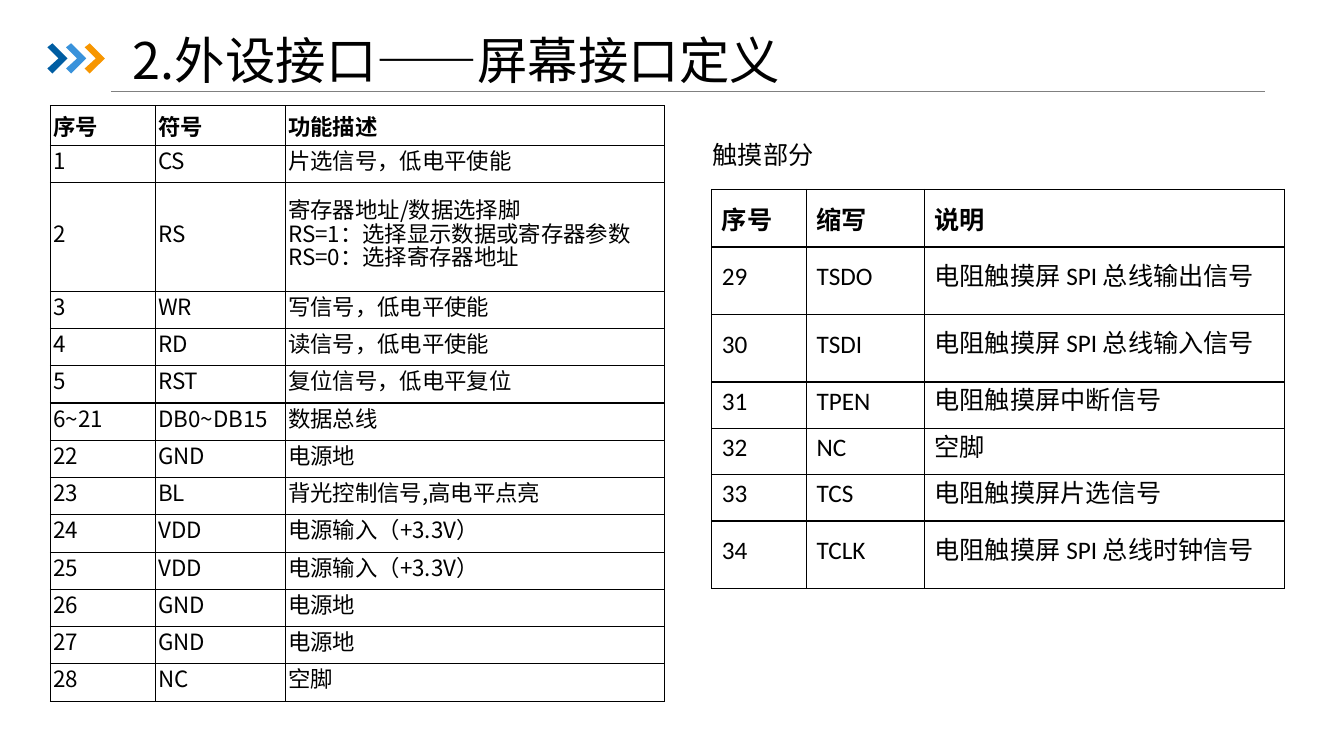
import pptx
import pptx.dml.color
import pptx.enum.shapes
import pptx.enum.text
import pptx.oxml
import pptx.oxml.ns
import pptx.util
from pptx.util import Inches

# Content
TITLE = "2.外设接口——屏幕接口定义"
TOUCH_HEADING = "触摸部分"
SCREEN_PINS = [
    ("序号", "符号", "功能描述"),
    ("1", "CS", "片选信号，低电平使能"),
    ("2", "RS", "寄存器地址/数据选择脚\vRS=1：选择显示数据或寄存器参数\vRS=0：选择寄存器地址"),
    ("3", "WR", "写信号，低电平使能"),
    ("4", "RD", "读信号，低电平使能"),
    ("5", "RST", "复位信号，低电平复位"),
    ("6~21", "DB0~DB15", "数据总线"),
    ("22", "GND", "电源地"),
    ("23", "BL", "背光控制信号,高电平点亮"),
    ("24", "VDD", "电源输入（+3.3V）"),
    ("25", "VDD", "电源输入（+3.3V）"),
    ("26", "GND", "电源地"),
    ("27", "GND", "电源地"),
    ("28", "NC", "空脚"),
]
TOUCH_PINS = [
    ("序号", "缩写", "说明"),
    ("29", "TSDO", "电阻触摸屏 SPI 总线输出信号"),
    ("30", "TSDI", "电阻触摸屏 SPI 总线输入信号"),
    ("31", "TPEN", "电阻触摸屏中断信号"),
    ("32", "NC", "空脚"),
    ("33", "TCS", "电阻触摸屏片选信号"),
    ("34", "TCLK", "电阻触摸屏 SPI 总线时钟信号"),
]

THEME = {
    "text": "000000", "cell": "FFFFFF", "border": "000000", "rule": "808080",
    "chevrons": ("005DA2", "3992DB", "F79600"),
    "latin": "Calibri", "cjk": "Noto Sans CJK SC",
    "title": 36, "touch": 18, "screen": 16, "leading": 16.8,
}

# Table layouts: margins run left, top, right, bottom; tall rows are by index
SCREEN_LAYOUT = {
    "at": (0.5, 1.05), "columns": (1.04, 1.29, 3.76), "header": 0.39, "row": 0.37,
    "tall": {2: 1.08}, "margins": (0.03, 0.04, 0.07, 0.04),
    "size": THEME["screen"], "body_font": THEME["cjk"],
}
TOUCH_LAYOUT = {
    "at": (7.06, 1.88), "columns": (0.94, 1.17, 3.57), "header": 0.57, "row": 0.46,
    "tall": {1: 0.67, 2: 0.67, 6: 0.67}, "margins": (0.1, 0.1, 0.21, 0.1),
    "size": THEME["touch"], "body_font": THEME["latin"],
}

# Chevron outline in hundredths of an inch
CHEVRON = [(0, 4), (5, 0), (20, 15), (5, 30), (0, 25), (11, 15)]
CHEVRON_LEFT, CHEVRON_TOP, CHEVRON_STEP = 0.47, 0.43, 0.185


def colour(code):
    return pptx.dml.color.RGBColor.from_string(code)


def format_paragraph(para, size, font, bold=False):
    for span in para.runs:
        span.font.size = pptx.util.Pt(size)
        span.font.bold = bold
        span.font.name = font
        span.font.color.rgb = colour(THEME["text"])
        east_asian = pptx.oxml.parse_xml(
            f'<a:ea {pptx.oxml.ns.nsdecls("a")} typeface="{THEME["cjk"]}"/>')
        span.font._element.find(pptx.oxml.ns.qn("a:latin")).addnext(east_asian)


def add_text(page, text, left, top, width, height, size):
    box = page.shapes.add_textbox(*map(Inches, (left, top, width, height)))
    box.text_frame.text = text
    format_paragraph(box.text_frame.paragraphs[0], size, THEME["cjk"])
    return box.text_frame


def add_borders(cell):
    properties = cell._tc.get_or_add_tcPr()
    for side in ("lnL", "lnR", "lnT", "lnB"):
        properties.append(pptx.oxml.parse_xml(
            f'<a:{side} {pptx.oxml.ns.nsdecls("a")} w="12700"><a:solidFill>'
            f'<a:srgbClr val="{THEME["border"]}"/></a:solidFill></a:{side}>'))


def add_pin_table(page, pins, layout):
    heights = [layout["header"]] + [
        layout["tall"].get(index, layout["row"]) for index in range(1, len(pins))]
    widths = layout["columns"]
    frame = page.shapes.add_table(
        len(pins), len(widths), *map(Inches, (*layout["at"], sum(widths), sum(heights))))
    table = frame.table
    table.first_row = table.horz_banding = False
    for column, width in zip(table.columns, widths):
        column.width = Inches(width)
    for index, (row, height, pin) in enumerate(zip(table.rows, heights, pins)):
        row.height = Inches(height)
        is_header = index == 0
        for cell, text in zip(row.cells, pin):
            cell.text_frame.text = text
            cell.vertical_anchor = pptx.enum.text.MSO_ANCHOR.MIDDLE
            (cell.margin_left, cell.margin_top,
             cell.margin_right, cell.margin_bottom) = map(Inches, layout["margins"])
            para = cell.text_frame.paragraphs[0]
            if not is_header:
                para.line_spacing = pptx.util.Pt(THEME["leading"])
            font = THEME["latin"] if is_header else layout["body_font"]
            format_paragraph(para, layout["size"], font, is_header)
            add_borders(cell)
            cell.fill.solid()
            cell.fill.fore_color.rgb = colour(THEME["cell"])


def add_header(page):
    # Rule under the title
    rule = page.shapes.add_connector(
        pptx.enum.shapes.MSO_CONNECTOR.STRAIGHT, *map(Inches, (1.1, 0.91, 12.55, 0.91)))
    rule.line.color.rgb = colour(THEME["rule"])
    rule.line.width = pptx.util.Pt(0.5)
    rule._element.spPr.append(
        pptx.oxml.parse_xml(f'<a:effectLst {pptx.oxml.ns.nsdecls("a")}/>'))

    # Three chevrons
    group = page.shapes.add_group_shape()
    for index, code in enumerate(THEME["chevrons"]):
        outline = group.shapes.build_freeform(*CHEVRON[0], scale=Inches(0.01))
        outline.add_line_segments(CHEVRON[1:], close=True)
        chevron = outline.convert_to_shape(
            Inches(CHEVRON_LEFT + index * CHEVRON_STEP), Inches(CHEVRON_TOP))
        chevron.shadow.inherit = False
        chevron.fill.solid()
        chevron.fill.fore_color.rgb = colour(code)
        chevron.line.fill.background()

    # Title
    title = add_text(page, TITLE, 1.22, 0.41, 11.51, 0.43, THEME["title"])
    title.word_wrap = True
    title.vertical_anchor = pptx.enum.text.MSO_ANCHOR.MIDDLE
    title.paragraphs[0].line_spacing = 0.9


def main():
    deck = pptx.Presentation()
    deck.slide_width, deck.slide_height = Inches(13.33), Inches(7.5)
    page = deck.slides.add_slide(deck.slide_layouts[6])
    add_header(page)
    add_pin_table(page, SCREEN_PINS, SCREEN_LAYOUT)
    add_pin_table(page, TOUCH_PINS, TOUCH_LAYOUT)
    heading = add_text(page, TOUCH_HEADING, 6.97, 1.33, 1.21, 0.4, THEME["touch"])
    heading.word_wrap = False
    heading.auto_size = pptx.enum.text.MSO_AUTO_SIZE.SHAPE_TO_FIT_TEXT
    deck.save("out.pptx")


if __name__ == "__main__":
    main()
